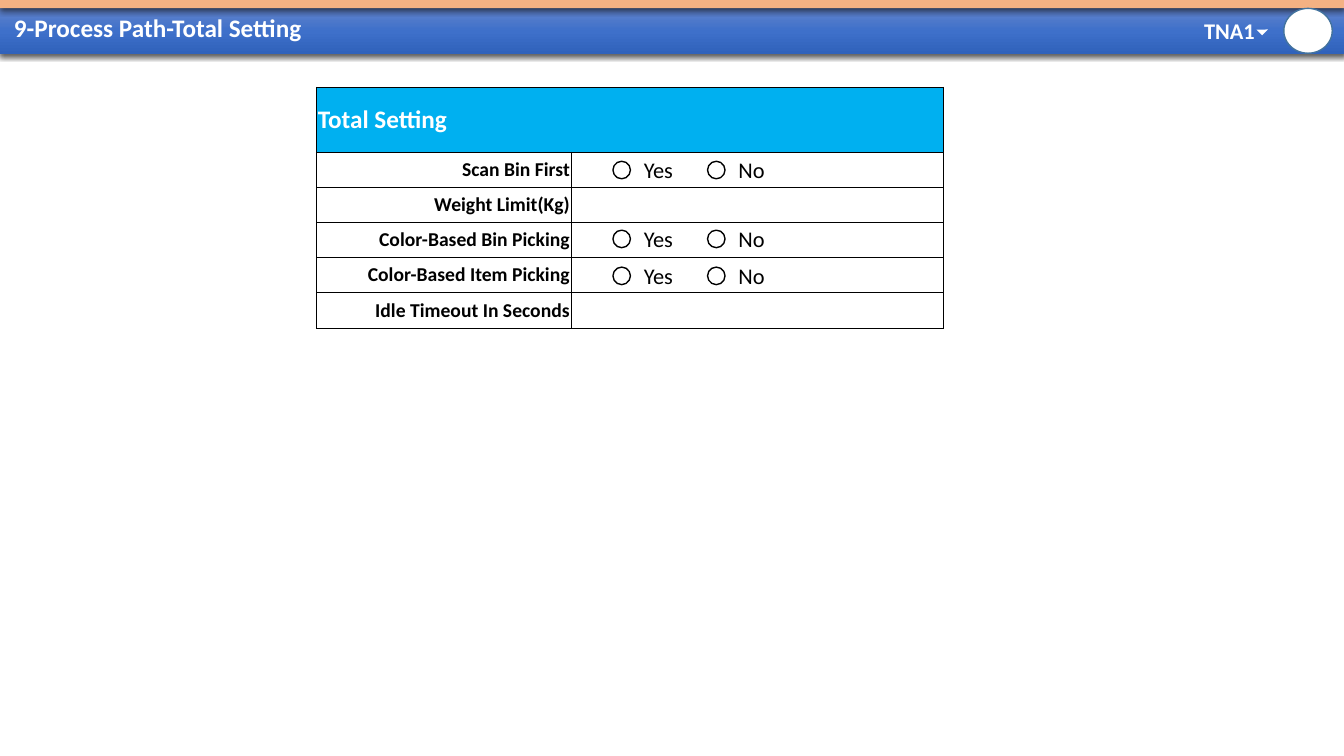
import copy

import pptx
import pptx.dml.color
import pptx.enum.shapes
import pptx.enum.text
import pptx.oxml
import pptx.oxml.ns
import pptx.util

Pt = pptx.util.Pt
SHAPES = pptx.enum.shapes.MSO_SHAPE
ALIGN = pptx.enum.text.PP_ALIGN
ANCHOR = pptx.enum.text.MSO_ANCHOR
FIT = pptx.enum.text.MSO_AUTO_SIZE

COLORS = {
    "white": "FFFFFF",
    "black": "000000",
    "bar_top": "6183CB",
    "bar_middle": "3E70CA",
    "bar_bottom": "3062BB",
    "strip": "F4B183",
    "avatar_line": "43739E",
    "header": "00B0F0",
}


def rgb(name):
    return pptx.dml.color.RGBColor.from_string(COLORS[name])


def apply(target, values):
    for name, value in values.items():
        setattr(target, name, value)


class SlideBuilder:
    def __init__(self, slide, font):
        self.slide = slide
        self.font = font

    def shape(self, kind, bounds, fill, line=None, rotation=0):
        shape = self.slide.shapes.add_shape(kind, *map(Pt, bounds))
        shape.shadow.inherit = False
        shape.rotation = rotation
        shape.fill.solid()
        shape.fill.fore_color.rgb = rgb(fill)
        if line:
            shape.line.color.rgb = rgb(line)
            shape.line.width = Pt(1)
        else:
            shape.line.fill.background()
        return shape

    def gradient(self, shape, names):
        shape.fill.gradient()
        shape.fill.gradient_angle = 270
        first = next(shape._element.spPr.iter(pptx.oxml.ns.qn("a:gs")))
        first.addnext(copy.deepcopy(first))
        for index, (stop, name) in enumerate(zip(shape.fill.gradient_stops, names)):
            stop.color.rgb = rgb(name)
            stop.position = index / (len(names) - 1)

    def shadow(self, shape):
        effects = shape._element.spPr.find(pptx.oxml.ns.qn("a:effectLst"))
        effects.append(pptx.oxml.parse_xml(
            f'<a:outerShdw {pptx.oxml.ns.nsdecls("a")} blurRad="{Pt(4.5)}" dist="{Pt(1.5)}" '
            f'dir="5400000" algn="ctr" rotWithShape="0"><a:srgbClr val="{COLORS["black"]}">'
            '<a:alpha val="63000"/></a:srgbClr></a:outerShdw>'))

    def span(self, para, text, size, color, bold=False):
        span = para.add_run()
        span.text = text
        apply(span.font, {"name": self.font, "size": Pt(size), "bold": bold})
        span.font.color.rgb = rgb(color)

    def text(self, bounds, text, size, color, bold=False, **frame):
        box = self.slide.shapes.add_textbox(*map(Pt, bounds))
        apply(box.text_frame, {"word_wrap": False, "auto_size": FIT.SHAPE_TO_FIT_TEXT, **frame})
        para = box.text_frame.paragraphs[0]
        self.span(para, text, size, color, bold)
        return para

    def border(self, cell):
        properties = cell._tc.get_or_add_tcPr()
        for index, side in enumerate(("lnL", "lnR", "lnT", "lnB")):
            properties.insert(index, pptx.oxml.parse_xml(
                f'<a:{side} {pptx.oxml.ns.nsdecls("a")} w="{Pt(0.5)}"><a:solidFill>'
                f'<a:srgbClr val="{COLORS["black"]}"/></a:solidFill></a:{side}>'))

    def settings_table(self, bounds, widths, heights, title, labels):
        table = self.slide.shapes.add_table(
            len(heights), len(widths), *map(Pt, bounds)).table
        apply(table, {"first_row": False, "horz_banding": False})
        for column, width in zip(table.columns, widths):
            column.width = Pt(width)
        for row, height in zip(table.rows, heights):
            row.height = Pt(height)
        for cell in table.iter_cells():
            apply(cell, {
                "margin_left": Pt(0.75), "margin_right": Pt(0.75),
                "margin_top": Pt(0.75), "margin_bottom": 0,
                "vertical_anchor": ANCHOR.MIDDLE,
            })
            cell.fill.solid()
            cell.fill.fore_color.rgb = rgb("white")
            self.border(cell)
        header = table.cell(0, 0)
        header.merge(table.cell(0, 1))
        header.fill.fore_color.rgb = rgb("header")
        self.span(header.text_frame.paragraphs[0], title, 18, "white", True)
        for index, label in enumerate(labels, 1):
            para = table.cell(index, 0).text_frame.paragraphs[0]
            para.alignment = ALIGN.RIGHT
            self.span(para, label, 14, "black", True)

    def radio(self, left, top, label, width):
        self.shape(SHAPES.OVAL, (left, top, 12.5, 12.5), "white", "black")
        self.text((left + 15, top - 7.2, width, 26.6), label, 16, "black")


def main():
    deck = pptx.Presentation()
    apply(deck, {"slide_width": Pt(960), "slide_height": Pt(540)})
    page = SlideBuilder(deck.slides.add_slide(deck.slide_layouts[6]), "Calibri")

    bar = page.shape(SHAPES.RECTANGLE, (0, 5.8, 960, 32.5), "bar_middle")
    page.gradient(bar, ("bar_top", "bar_middle", "bar_bottom"))
    strip = page.shape(SHAPES.RECTANGLE, (0, -2.2, 960, 8), "strip")
    for shape in (bar, strip):
        page.shadow(shape)

    page.shape(SHAPES.OVAL, (917, 6, 34.6, 32), "white", "avatar_line")
    page.text((853, 8.7, 51, 26.6), "TNA1", 16, "white", True)
    page.shape(SHAPES.RIGHT_TRIANGLE, (898.6, 18.2, 5.8, 5.8), "white", rotation=314.5)
    title = page.text((2.9, 5.5, 828, 30.2), "9-Process Path-Total Setting", 18, "white", True,
                      word_wrap=True, auto_size=FIT.NONE, vertical_anchor=ANCHOR.MIDDLE)
    title.line_spacing = 0.9

    page.settings_table(
        (226.3, 62.2, 447.4, 173), (181.6, 265.8), [46.6] + [25] * 4 + [26.2],
        "Total Setting",
        ("Scan Bin First", "Weight Limit(Kg)", "Color-Based Bin Picking",
         "Color-Based Item Picking", "Idle Timeout In Seconds"))

    for top in (115.2, 164.4, 190.8):
        for left, label, width in ((437.8, "Yes", 36), (505.4, "No", 34)):
            page.radio(left, top, label, width)

    deck.save("out.pptx")


if __name__ == "__main__":
    main()
